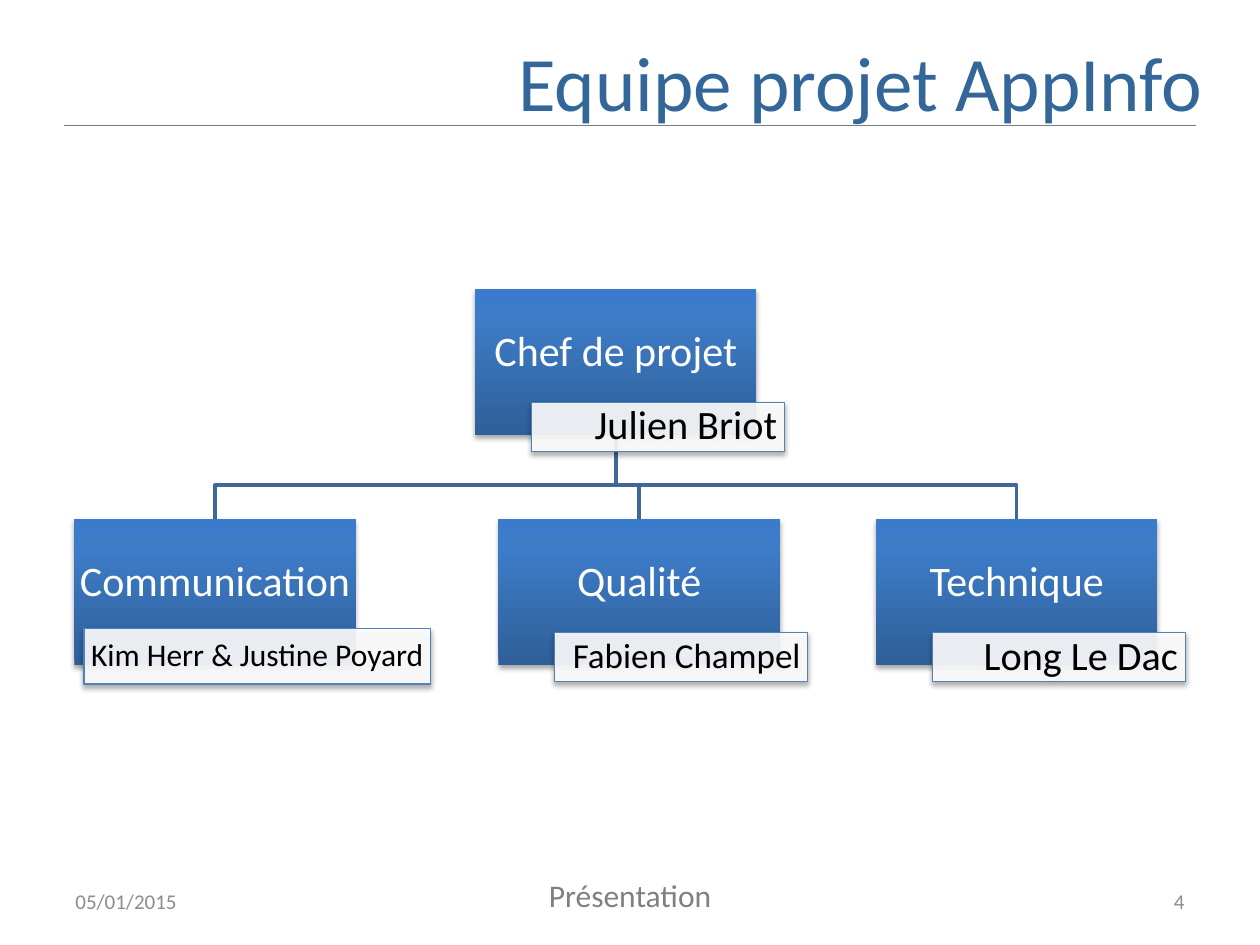
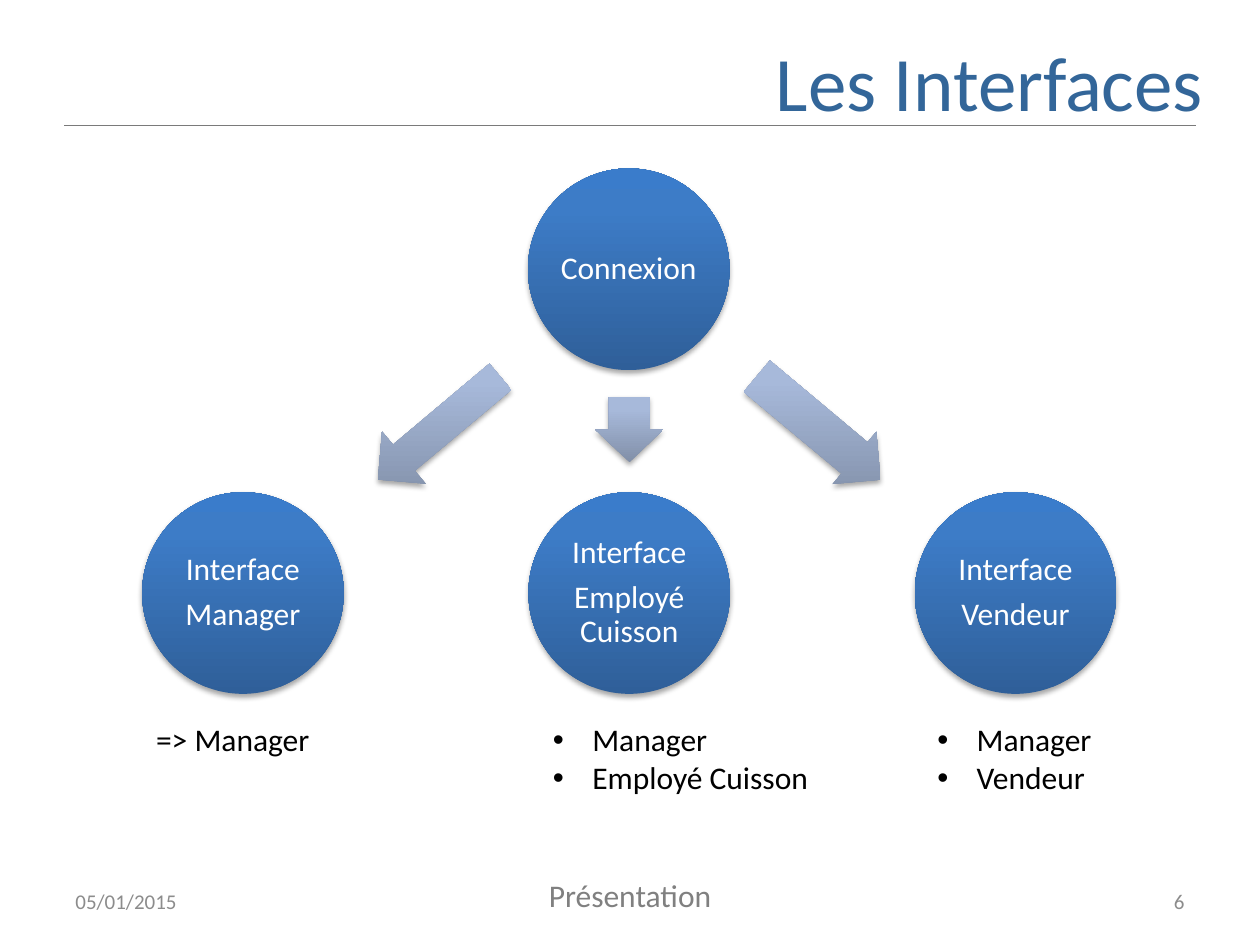
from dataclasses import dataclass

from pptx import Presentation
from pptx.dml.color import RGBColor
from pptx.enum.shapes import MSO_CONNECTOR, MSO_SHAPE
from pptx.enum.text import MSO_ANCHOR, PP_ALIGN
from pptx.oxml import parse_xml
from pptx.oxml.ns import nsdecls, qn
from pptx.util import Pt

LEFT, CENTER, RIGHT = PP_ALIGN.LEFT, PP_ALIGN.CENTER, PP_ALIGN.RIGHT
TOP, MIDDLE = MSO_ANCHOR.TOP, MSO_ANCHOR.MIDDLE
RECTANGLE, OVAL, ARROW = MSO_SHAPE.RECTANGLE, MSO_SHAPE.OVAL, MSO_SHAPE.RIGHT_ARROW
STRAIGHT = MSO_CONNECTOR.STRAIGHT


@dataclass(frozen=True)
class Theme:
    font: str = "Calibri"
    title: str = "336699"
    rule: str = "7A7A7A"
    footer: str = "808080"
    small_print: str = "8C8C8C"
    branch: str = "3F6797"
    tag_line: str = "4F81BD"
    white: str = "FFFFFF"
    black: str = "000000"
    node_fill: tuple = ((0, "2F5F99"), (80, "3D7CC7"), (100, "3A7CCB"))
    arrow_fill: tuple = ((0, "818FA8"), (80, "A7B9DA"), (100, "A7BADC"))
    title_size: int = 44
    role_size: int = 24
    body_size: int = 18
    small_size: int = 12


theme = Theme()


def write(box, lines, size, color, align=LEFT, anchor=TOP,
          insets=(7.2, 3.6, 7.2, 3.6), diagram=False, bullets=False):
    """Fill a box with one paragraph per line; diagram text is set tighter."""
    frame = box.text_frame
    frame.word_wrap = True
    frame.vertical_anchor = anchor
    (frame.margin_left, frame.margin_top,
     frame.margin_right, frame.margin_bottom) = map(Pt, insets)
    for index, line in enumerate(lines):
        para = frame.add_paragraph() if index else frame.paragraphs[0]
        para.alignment = align
        if diagram:
            para.line_spacing = 0.9
            para.space_after = Pt(0.35 * size)
        if bullets:
            props = para._p.get_or_add_pPr()
            props.set("marL", str(Pt(22.5)))
            props.set("indent", str(-Pt(22.5)))
            props.append(parse_xml(f'<a:buFont {nsdecls("a")} typeface="Arial"/>'))
            props.append(parse_xml(f'<a:buChar {nsdecls("a")} char="•"/>'))
        span = para.add_run()
        span.text = line
        span.font.name = theme.font
        span.font.size = Pt(size)
        span.font.color.rgb = RGBColor.from_string(color)


def add_raised(page, kind, left, top, width, height, stops=None):
    """Add a shape with a soft shadow: a gradient, or a translucent white tag."""
    shape = page.shapes.add_shape(kind, Pt(left), Pt(top), Pt(width), Pt(height))
    props = shape._element.spPr
    if stops:
        shape.line.fill.background()
        shape.fill.background()
        marks = "".join(f'<a:gs pos="{pos * 1000}"><a:srgbClr val="{color}"/></a:gs>'
                        for pos, color in stops)
        props.replace(props.find(qn("a:noFill")), parse_xml(
            f'<a:gradFill {nsdecls("a")} rotWithShape="0"><a:gsLst>{marks}</a:gsLst>'
            '<a:lin ang="16200000" scaled="0"/></a:gradFill>'))
    else:
        shape.fill.solid()
        shape.fill.fore_color.rgb = RGBColor.from_string(theme.white)
        props.find(qn("a:solidFill"))[0].append(
            parse_xml(f'<a:alpha {nsdecls("a")} val="90000"/>'))
        shape.line.color.rgb = RGBColor.from_string(theme.tag_line)
        shape.line.width = Pt(0.75)
    shape.shadow.inherit = False
    props.find(qn("a:effectLst")).append(parse_xml(
        f'<a:outerShdw {nsdecls("a")} blurRad="{Pt(3.1)}" dist="{Pt(1.8)}" '
        'dir="5400000" rotWithShape="0"><a:srgbClr val="000000">'
        '<a:alpha val="35000"/></a:srgbClr></a:outerShdw>'))
    return shape


deck = Presentation()
deck.slide_width, deck.slide_height = Pt(720), Pt(540)

# Title, rule and footers of every page
pages = []
for title, number in (("Equipe projet AppInfo", "4"), ("Les Interfaces", "6")):
    page = deck.slides.add_slide(deck.slide_layouts[6])
    pages.append(page)
    for text, place, size, color, align, anchor in (
        (title, (35.3, 15.1, 659.5, 62.6), theme.title_size, theme.title, RIGHT, MIDDLE),
        ("05/01/2015", (36, 500.5, 168, 28.75), theme.small_size, theme.small_print, LEFT, MIDDLE),
        (number, (516, 500.5, 168, 28.75), theme.small_size, theme.small_print, RIGHT, MIDDLE),
        ("Présentation", (139, 496.8, 442, 29), theme.body_size, theme.footer, CENTER, TOP),
    ):
        box = page.shapes.add_textbox(*map(Pt, place))
        write(box, [text], size, color, align, anchor)
    rule = page.shapes.add_connector(STRAIGHT, Pt(36.7), Pt(71.6), Pt(683.3), Pt(71.6))
    rule.line.color.rgb = RGBColor.from_string(theme.rule)
    rule.line.width = Pt(0.75)
    rule._element.spPr.append(parse_xml(f'<a:effectLst {nsdecls("a")}/>'))

team_page, interface_page = pages

# Team chart: a lead above three roles, each with a name tag
ROLE_WIDTH, ROLE_HEIGHT = 160.75, 83.5
LEAD_X, LEAD_TOP, BRANCH_Y, ROLE_TOP = 351.9, 165, 277.2, 296.6
TAG_SHIFT, TAG_DROP, TAG_WIDTH, TAG_HEIGHT = 32.1, 64.9, 144.7, 28
regular_tag = (TAG_SHIFT, TAG_DROP, TAG_WIDTH, TAG_HEIGHT)
wide_tag = (5.6, 62.7, 198, 31.7)
members = (
    ("Chef de projet", "Julien Briot", LEAD_X, LEAD_TOP, 23, regular_tag),
    ("Communication", "Kim Herr & Justine Poyard", 122.8, ROLE_TOP, 18, wide_tag),
    ("Qualité", "Fabien Champel", 365.2, ROLE_TOP, 20, regular_tag),
    ("Technique", "Long Le Dac", 581, ROLE_TOP, 23, regular_tag),
)
for role, name, center, top, name_size, tag_place in members[1:]:
    outline = team_page.shapes.build_freeform(Pt(LEAD_X), Pt(LEAD_TOP + ROLE_HEIGHT))
    outline.add_line_segments(
        [(Pt(LEAD_X), Pt(BRANCH_Y)), (Pt(center), Pt(BRANCH_Y)), (Pt(center), Pt(top))],
        close=False)
    branch = outline.convert_to_shape()
    branch.fill.background()
    branch.line.color.rgb = RGBColor.from_string(theme.branch)
    branch.line.width = Pt(2)
    branch.shadow.inherit = False

for role, name, center, top, name_size, (shift, drop, width, height) in members:
    left = center - ROLE_WIDTH / 2
    box = add_raised(team_page, RECTANGLE, left, top, ROLE_WIDTH, ROLE_HEIGHT, theme.node_fill)
    write(box, [role], theme.role_size, theme.white, CENTER, MIDDLE,
          (1.2, 1.2, 1.2, 11.8), diagram=True)
    tag = add_raised(team_page, RECTANGLE, left + shift, top + drop, width, height)
    write(tag, [name], name_size, theme.black, RIGHT, MIDDLE, (4, 1, 4, 1), diagram=True)

# Interfaces: the login leads to three circles
DIAMETER, LOGIN_TOP, CIRCLE_TOP = 115.2, 96.3, 281.3
FIRST_LEFT, CIRCLE_STEP = 81.25, 220.75
circles = [(["Connexion"], 301.7, LOGIN_TOP)]
for column, user in enumerate(("Manager", "Employé Cuisson", "Vendeur")):
    circles.append((["Interface", user], FIRST_LEFT + column * CIRCLE_STEP, CIRCLE_TOP))
for lines, left, top in circles:
    circle = add_raised(interface_page, OVAL, left, top, DIAMETER, DIAMETER, theme.node_fill)
    write(circle, lines, theme.body_size, theme.white, CENTER, MIDDLE,
          (0, 0, 0, 0), diagram=True)

for left, top, length, angle, shaft in (
    (205.2, 225.2, 91.4, 140, 0.5),
    (340.9, 226, 37.4, 89.7, 0.6),
    (421.7, 225.1, 92.2, 39.9, 0.6),
):
    arrow = add_raised(interface_page, ARROW, left, top, length, 38.9, theme.arrow_fill)
    arrow.rotation = angle
    arrow.adjustments[0], arrow.adjustments[1] = shaft, 0.5

# Users allowed on each interface
for users, left, width, bulleted in (
    (["=> Manager"], 82.1, 142, False),
    (["Manager", "Employé Cuisson"], 308.9, 170, True),
    (["Manager", "Vendeur"], 528.5, 104, True),
):
    box = interface_page.shapes.add_textbox(Pt(left), Pt(408.2), Pt(width), Pt(7.2 + 22 * len(users)))
    write(box, users, theme.body_size, theme.black, bullets=bulleted)

deck.save("out.pptx")
